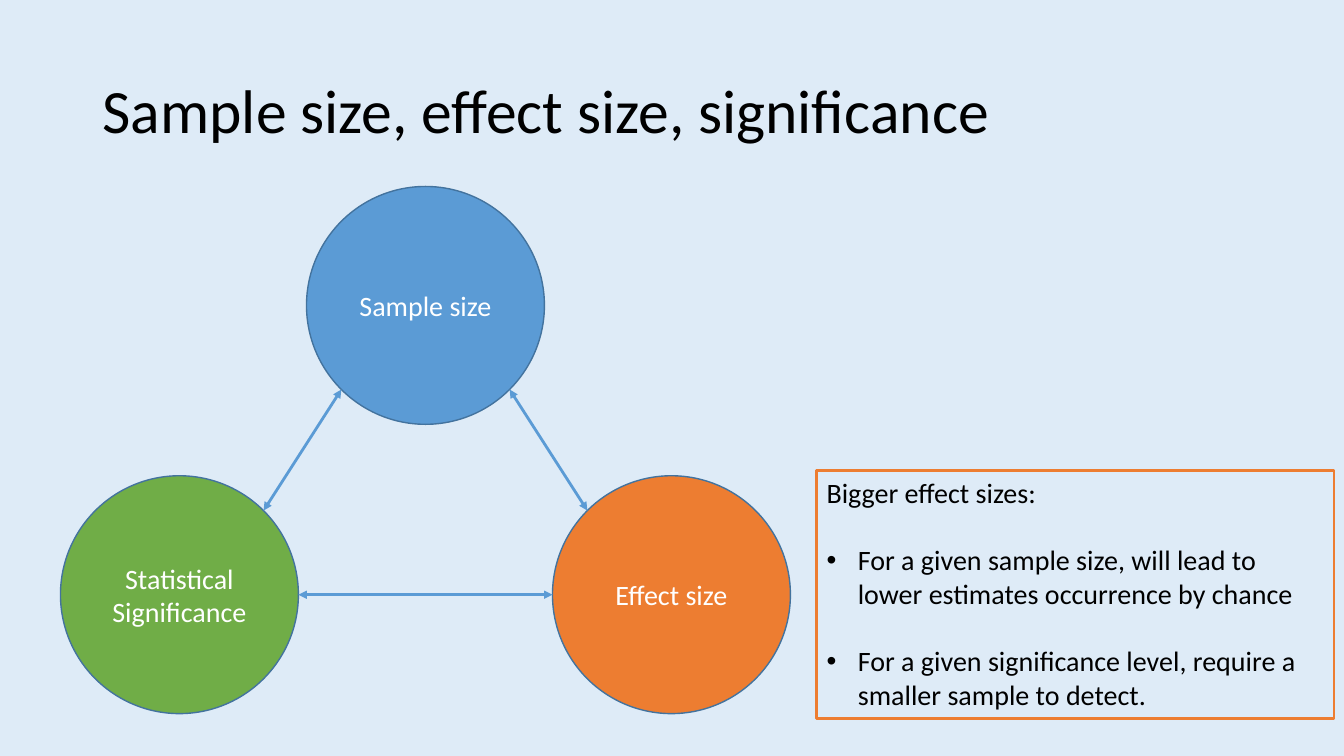
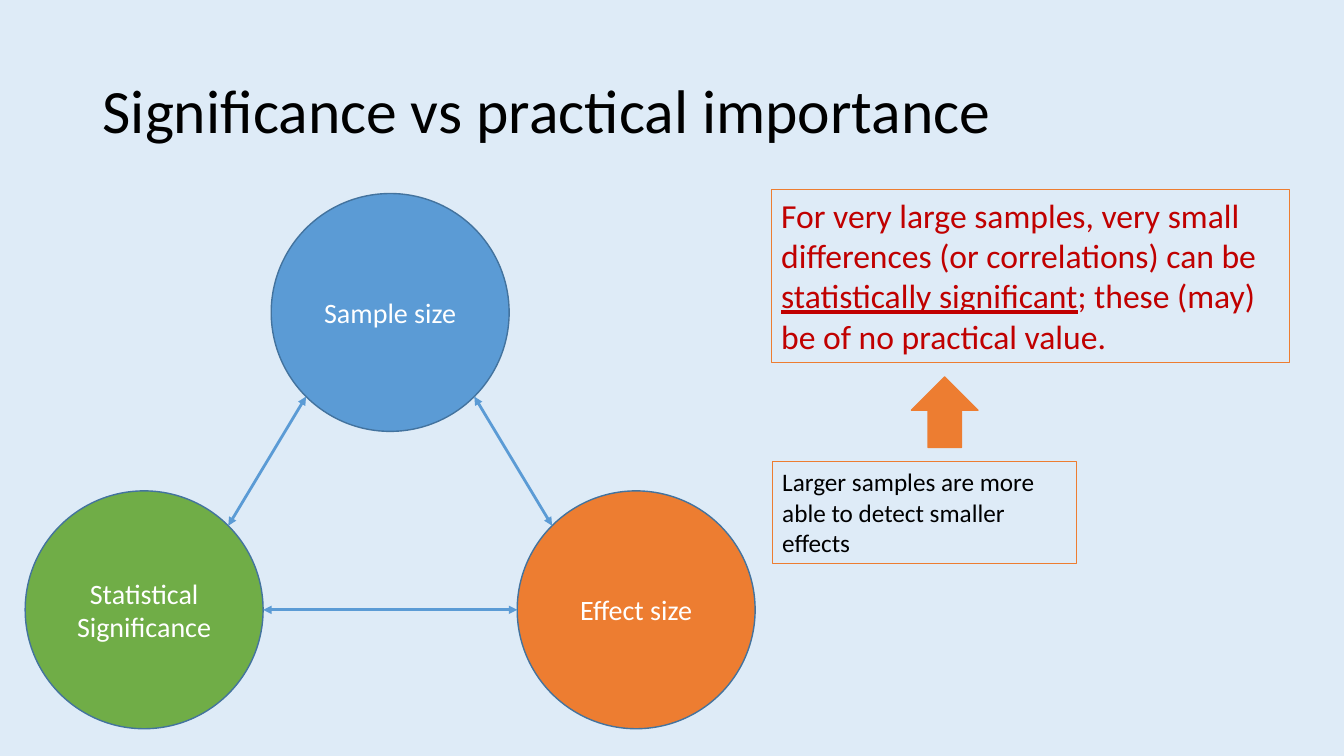
from math import sqrt
from pptx import Presentation
from pptx.dml.color import RGBColor
from pptx.enum.shapes import MSO_CONNECTOR as Line, MSO_SHAPE as Shape
from pptx.enum.text import MSO_ANCHOR as Anchor, PP_ALIGN as Align
from pptx.oxml.ns import qn
from pptx.util import Inches, Pt
from lxml.etree import SubElement

# Shared style
FONT = "Calibri"
BACK, BLACK, WHITE, RED = "DEEBF7", "000000", "FFFFFF", "C00000"
BLUE, GREEN, ORANGE, EDGE = "5B9BD5", "70AD47", "ED7D31", "43739E"
SIZE, STEP = 2.36, 2.44  # circle diameter, sideways offset of lower circles

# Circles: label, fill, column (-1 left, 0 middle, 1 right), row
NODES = [
    ("Sample size", BLUE, 0, 0),
    ("Statistical Significance", GREEN, -1, 1),
    ("Effect size", ORANGE, 1, 1),
]

# Triangle: left and top of the upper circle, drop to the lower ones
# Notes: place, line width, text size, colour, paragraphs as
# (bulleted, [(text, underlined), ...])
SLIDES = [
    {
        "title": "Sample size, effect size, significance",
        "tri": (3.04, 1.85, 2.87),
        "notes": [
            ((8.1, 4.67, 5.13, 2.46), 1.75, 20, BLACK, [
                (False, [("Bigger effect sizes:", False)]),
                (True, [("For a given sample size, will lead to lower "
                         "estimates occurrence by chance", False)]),
                (True, [("For a given significance level, require a "
                         "smaller sample to detect.", False)]),
            ]),
        ],
        "arrows": [],
    },
    {
        "title": "Significance vs practical importance",
        "tri": (2.69, 1.92, 2.95),
        "notes": [
            ((7.66, 4.58, 3.02, 1.01), 0.75, 18, BLACK, [
                (False, [("Larger samples are more able to detect smaller "
                          "effects", False)]),
            ]),
            ((7.65, 1.88, 5.14, 1.72), 0.75, 24, RED, [
                (False, [("For very large samples, very small differences "
                          "(or correlations) can be ", False),
                         ("statistically significant", True),
                         ("; these (may) be of no practical value.", False)]),
            ]),
        ],
        "arrows": [(9.04, 3.74, 0.66, 0.7)],
    },
]


def rgb(code):
    return RGBColor.from_string(code)


def style(para, size, color):
    para.font.name = FONT
    para.font.size = Pt(size)
    para.font.color.rgb = rgb(color)


def add_shape(slide, kind, place, fill, edge, width=1):
    shape = slide.shapes.add_shape(kind, *map(Inches, place))
    shape.shadow.inherit = False
    if fill:
        shape.fill.solid()
        shape.fill.fore_color.rgb = rgb(fill)
    else:
        shape.fill.background()
    shape.line.color.rgb = rgb(edge)
    shape.line.width = Pt(width)
    return shape


def add_title(slide, text):
    box = slide.shapes.add_textbox(*map(Inches, (0.92, 0.4, 11.5, 1.45)))
    frame = box.text_frame
    frame.word_wrap = True
    frame.vertical_anchor = Anchor.MIDDLE
    para = frame.paragraphs[0]
    para.text = text
    para.line_spacing = 0.9
    style(para, 44, BLACK)


def add_link(slide, start, end):
    link = slide.shapes.add_connector(
        Line.STRAIGHT, *map(Inches, (*start, *end)))
    link.line.color.rgb = rgb(BLUE)
    link.line.width = Pt(2)
    line = link.line._get_or_add_ln()
    for tag in ("a:headEnd", "a:tailEnd"):
        SubElement(line, qn(tag), type="triangle")
    SubElement(link._element.spPr, qn("a:effectLst"))


def add_cycle(slide, left, top, drop):
    mids = []
    for label, fill, col, row in NODES:
        x, y = left + col * STEP, top + row * drop
        mids.append((x + SIZE / 2, y + SIZE / 2))
        disc = add_shape(slide, Shape.OVAL, (x, y, SIZE, SIZE), fill, EDGE)
        frame = disc.text_frame
        frame.word_wrap = True
        frame.vertical_anchor = Anchor.MIDDLE
        para = frame.paragraphs[0]
        para.text = label
        para.alignment = Align.CENTER
        style(para, 20, WHITE)

    # Links leave the circles on the diagonals and along the base
    (tx, ty), (lx, ly), (rx, ry) = mids
    rad = SIZE / 2
    diag = rad / sqrt(2)
    add_link(slide, (tx - diag, ty + diag), (lx + diag, ly - diag))
    add_link(slide, (tx + diag, ty + diag), (rx - diag, ry - diag))
    add_link(slide, (rx - rad, ry), (lx + rad, ly))


def add_bullet(para):
    props = para._p.get_or_add_pPr()
    indent = Inches(0.31)
    props.set("marL", str(indent))
    props.set("indent", str(-indent))
    SubElement(props, qn("a:buFont"), typeface="Arial")
    SubElement(props, qn("a:buChar"), char="•")


def add_note(slide, place, width, size, color, paras):
    box = add_shape(slide, Shape.RECTANGLE, place, None, ORANGE, width)
    frame = box.text_frame
    frame.word_wrap = True
    frame.vertical_anchor = Anchor.TOP
    for i, (marked, runs) in enumerate(paras):
        para = frame.add_paragraph() if i else frame.paragraphs[0]
        para.alignment = Align.LEFT
        if i:
            para.space_before = Pt(24)
        if marked:
            add_bullet(para)
        style(para, size, color)
        for text, under in runs:
            run = para.add_run()
            run.text = text
            if under:
                run.font.underline = True


def main():
    deck = Presentation()
    deck.slide_width, deck.slide_height = Inches(13.33), Inches(7.5)
    for data in SLIDES:
        slide = deck.slides.add_slide(deck.slide_layouts[6])
        slide.background.fill.solid()
        slide.background.fill.fore_color.rgb = rgb(BACK)
        add_title(slide, data["title"])
        add_cycle(slide, *data["tri"])
        for note in data["notes"]:
            add_note(slide, *note)
        for place in data["arrows"]:
            add_shape(slide, Shape.UP_ARROW, place, ORANGE, ORANGE)
    deck.save("out.pptx")


if __name__ == "__main__":
    main()
